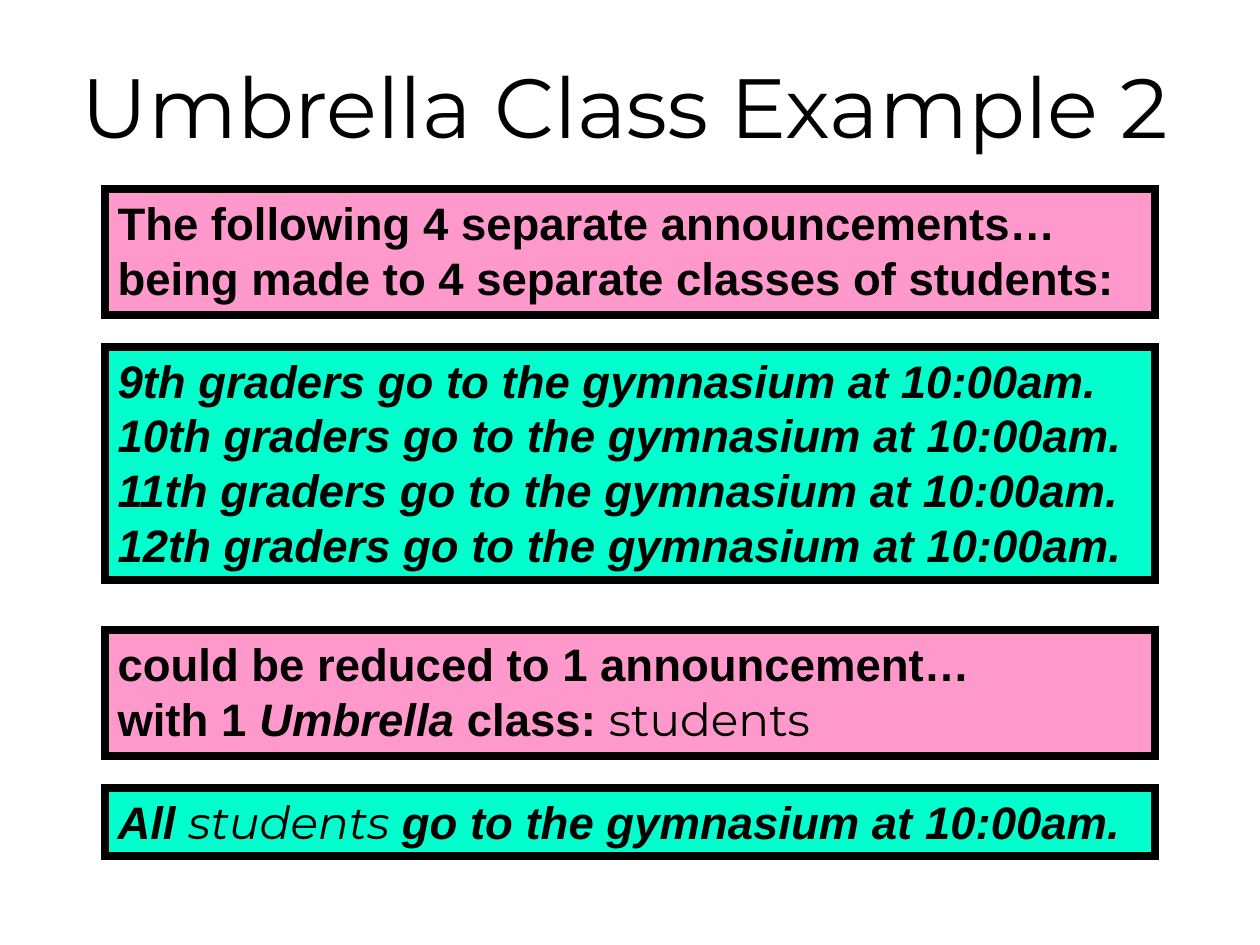
from lxml.etree import SubElement
from pptx import Presentation
from pptx.dml.color import RGBColor
from pptx.enum.shapes import MSO_SHAPE
from pptx.enum.text import MSO_ANCHOR, PP_ALIGN
from pptx.oxml.ns import qn
from pptx.util import Cm, Pt

HUES = {"ink": "000000", "pink": "FF99CC", "mint": "00FFCC"}
BOLD = {"name": "Arial", "size": Pt(26), "bold": True, "italic": False}
SLANT = BOLD | {"italic": True}
THIN = BOLD | {"name": "Montserrat", "bold": False}
HEAD = THIN | {"size": Pt(48)}

CARDS = [
    ("pink", 3.81, 2.54, [
        [("The following 4 separate announcements…", BOLD)],
        [("being made to 4 separate classes of students:", BOLD)],
    ]),
    ("mint", 6.99, 4.7, [
        [(f"{grade}th graders go to the gymnasium at 10:00am.", SLANT)]
        for grade in range(9, 13)
    ]),
    ("pink", 12.7, 2.54, [
        [("could be reduced to 1 announcement…", BOLD)],
        [("with 1 ", BOLD), ("Umbrella ", SLANT), ("class: ", BOLD),
         ("students", THIN)],
    ]),
    ("mint", 15.88, 1.37, [
        [("All ", SLANT), ("students ", THIN | {"italic": True}),
         ("go to the gymnasium at 10:00am.", SLANT)],
    ]),
]


def color(name):
    return RGBColor.from_string(HUES[name])


def write(frame, lines, align):
    """Fill a text frame with lines, each a list of (text, format) runs."""
    frame.word_wrap = True
    for i, line in enumerate(lines):
        para = frame.add_paragraph() if i else frame.paragraphs[0]
        para.alignment = align
        for text, style in line:
            run = para.add_run()
            run.text = text
            run.font.color.rgb = color("ink")
            for key, value in style.items():
                setattr(run.font, key, value)


def add_title(slide, left, top, width, height):
    title = slide.shapes.title
    place = {"left": left, "top": top, "width": width, "height": height}
    for key, value in place.items():
        setattr(title, key, value)
    title.text_frame.vertical_anchor = MSO_ANCHOR.MIDDLE
    write(title.text_frame, [[("Umbrella Class Example 2", HEAD)]],
          PP_ALIGN.CENTER)


def add_card(slide, left, top, width, height, hue, lines):
    card = slide.shapes.add_shape(MSO_SHAPE.RECTANGLE, left, top, width, height)
    card.shadow.inherit = False
    card.fill.solid()
    card.fill.fore_color.rgb = color(hue)
    card.line.color.rgb = color("ink")
    card.line.width = Pt(4.5)
    # Square corners on the thick border
    SubElement(card.line._get_or_add_ln(), qn("a:miter"), lim="800000")
    card.text_frame.vertical_anchor = MSO_ANCHOR.TOP
    write(card.text_frame, lines, PP_ALIGN.LEFT)


def main():
    deck = Presentation()
    deck.slide_width, deck.slide_height = Cm(25.4), Cm(19.05)
    slide = deck.slides.add_slide(deck.slide_layouts[5])
    add_title(slide, 0, 0, Cm(25.2), Cm(4.24))
    for hue, top, height, lines in CARDS:
        add_card(slide, Cm(2.12), Cm(top), Cm(21.17), Cm(height), hue, lines)
    deck.save("out.pptx")


if __name__ == "__main__":
    main()
